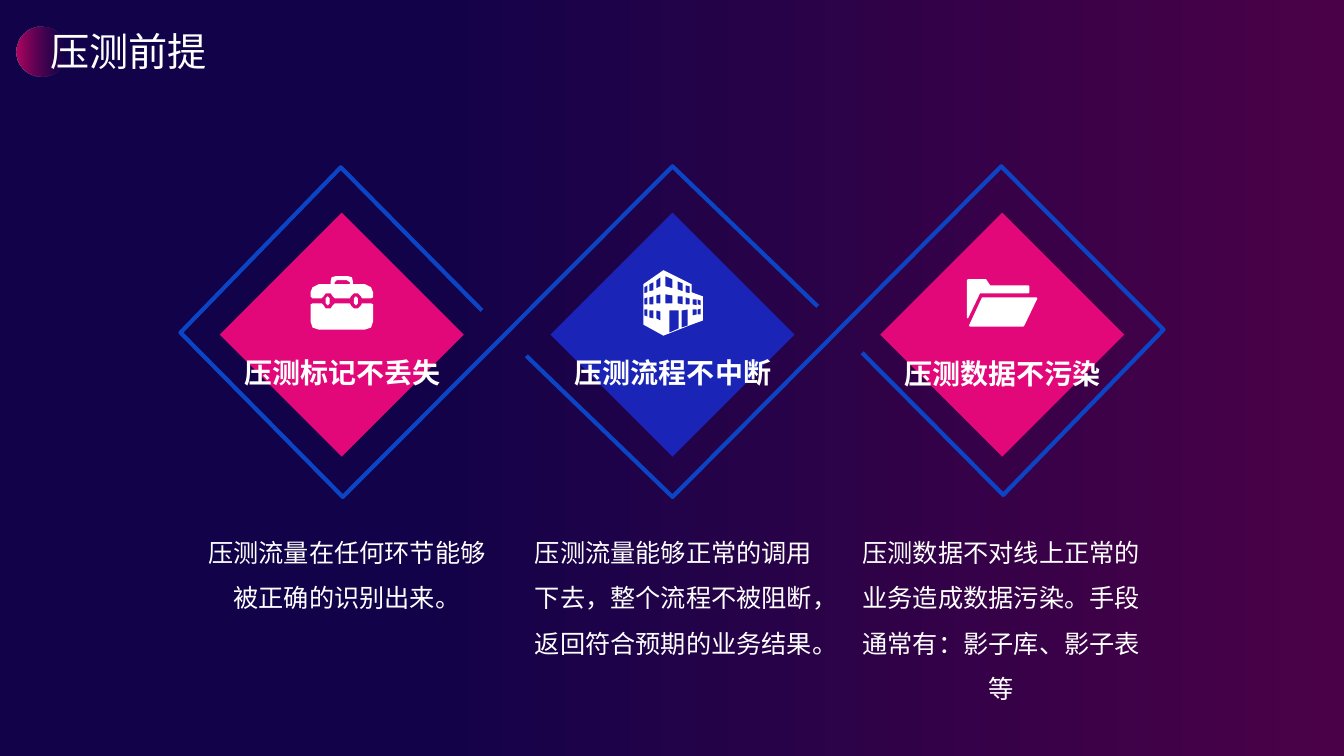
import lxml.etree
import pptx
import pptx.dml.color
import pptx.enum.shapes
import pptx.enum.text
import pptx.oxml.ns
import pptx.util

Inches = pptx.util.Inches
RGBColor = pptx.dml.color.RGBColor
SHAPE = pptx.enum.shapes.MSO_SHAPE
ALIGN = pptx.enum.text.PP_ALIGN
qn = pptx.oxml.ns.qn

NAVY = RGBColor(0x12, 0x02, 0x49)
PLUM = RGBColor(0x4B, 0x01, 0x47)
CRIMSON = RGBColor(0xB3, 0x06, 0x60)
PURPLE = RGBColor(0x57, 0x01, 0x52)
PINK = RGBColor(0xE2, 0x08, 0x7A)
INDIGO = RGBColor(0x1A, 0x25, 0xB8)
BLUE = RGBColor(0x0B, 0x45, 0xC5)
WHITE = RGBColor(0xFF, 0xFF, 0xFF)

TITLE = {"size": pptx.util.Pt(28), "name": "Noto Sans CJK SC"}
LABEL = {"size": pptx.util.Pt(20), "name": "Lato", "bold": True}
BODY = {"size": pptx.util.Pt(18), "name": "Noto Sans CJK SC"}

ZIGZAGS = [
    [(8.55, 3.5), (9.95, 4.91), (11.54, 3.27), (9.93, 1.65), (6.67, 4.93), (5.22, 3.53)],
    [(4.78, 3.08), (3.38, 1.66), (1.79, 3.3), (3.4, 4.93), (6.67, 1.65), (8.11, 3.04)],
]

BRIEFCASE = [
    [(3.16, 2.82), (3.28, 2.82), (3.28, 2.79), (3.29, 2.75), (3.33, 2.74), (3.45, 2.74),
     (3.49, 2.75), (3.5, 2.79), (3.5, 2.82), (3.62, 2.82), (3.68, 2.85), (3.7, 2.9),
     (3.7, 2.95), (3.68, 2.96), (3.59, 2.96), (3.58, 2.94), (3.55, 2.91), (3.51, 2.91),
     (3.48, 2.94), (3.47, 2.96), (3.32, 2.96), (3.3, 2.94), (3.28, 2.91), (3.23, 2.91),
     (3.21, 2.94), (3.19, 2.96), (3.1, 2.96), (3.08, 2.94), (3.08, 2.9), (3.1, 2.85)],
    [(3.32, 2.82), (3.32, 2.8), (3.34, 2.78), (3.44, 2.78), (3.47, 2.8), (3.47, 2.82)],
    [(3.1, 3.01), (3.19, 3.01), (3.21, 3.03), (3.23, 3.06), (3.28, 3.06), (3.3, 3.03),
     (3.32, 3.01), (3.47, 3.01), (3.48, 3.03), (3.51, 3.06), (3.55, 3.06), (3.58, 3.03),
     (3.59, 3.01), (3.68, 3.01), (3.7, 3.02), (3.7, 3.19), (3.68, 3.25), (3.62, 3.27),
     (3.16, 3.27), (3.1, 3.25), (3.08, 3.19), (3.08, 3.02)],
] + [
    [(x, 2.96), (x + 0.02, 2.94), (x + 0.04, 2.96), (x + 0.04, 3.01), (x + 0.02, 3.03),
     (x, 3.01)] for x in (3.23, 3.51)
]

FACADE = [(6.58, 2.68), (6.86, 2.82), (6.86, 2.9), (6.97, 2.94), (6.97, 3.18),
          (6.86, 3.22), (6.58, 3.33), (6.38, 3.22), (6.38, 2.82)]
OPENINGS = [
    (6.39, 6.42, [(2.85, 2.91, 2.83, 2.9), (2.96, 3.02, 2.95, 3.02), (3.07, 3.13, 3.07, 3.14)]),
    (6.44, 6.48, [(2.82, 2.89, 2.8, 2.88), (2.95, 3.02, 2.94, 3.02), (3.08, 3.15, 3.08, 3.16)]),
    (6.51, 6.55, [(2.78, 2.86, 2.75, 2.84), (2.93, 3.01, 2.92, 3.01), (3.08, 3.16, 3.09, 3.18)]),
    (6.6, 6.67, [(2.74, 2.84, 2.77, 2.86), (2.92, 3.01, 2.93, 3.01)]),
    (6.72, 6.77, [(2.79, 2.87, 2.81, 2.89), (2.94, 3.01, 2.94, 3.02)]),
    (6.8, 6.84, [(2.83, 2.9, 2.84, 2.91), (2.95, 3.02, 2.96, 3.02)]),
    (6.87, 6.91, [(2.97, 3.02, 2.97, 3.03), (3.07, 3.13, 3.07, 3.12)]),
    (6.92, 6.95, [(2.97, 3.02, 2.98, 3.03), (3.07, 3.12, 3.06, 3.12)]),
    (6.64, 6.73, [(3.08, 3.3, 3.08, 3.26)]),
    (6.76, 6.82, [(3.08, 3.25, 3.07, 3.23)]),
]
BUILDING = [FACADE] + [
    [(left, a), (right, c), (right, d), (left, b)]
    for left, right, floors in OPENINGS for a, b, c, d in floors
]

FOLDER_FRONT = [(9.74, 2.95), (10.28, 2.95), (10.29, 2.96), (10.16, 3.23), (10.15, 3.24),
                (9.62, 3.24), (9.61, 3.23)]
FOLDER_BACK = [(9.6, 2.77), (9.78, 2.77), (9.82, 2.83), (10.2, 2.83), (10.21, 2.84),
               (10.21, 2.9), (10.2, 2.91), (9.72, 2.91), (9.6, 3.16), (9.59, 3.15),
               (9.59, 2.78)]

PREMISES = [
    (2.18, PINK, "压测标记不丢失", 3.48, [BRIEFCASE],
     1.95, 0.96, "压测流量在任何环节能够被正确的识别出来。"),
    (5.46, INDIGO, "压测流程不中断", 3.48, [BUILDING],
     5.19, 1.41, "压测流量能够正常的调用下去，整个流程不被阻断，返回符合预期的业务结果。"),
    (8.73, PINK, "压测数据不污染", 3.49, [[FOLDER_FRONT], [FOLDER_BACK]],
     8.44, 1.87, "压测数据不对线上正常的业务造成数据污染。手段通常有：影子库、影子表等"),
]


def set_gradient(fill, stops):
    """Give a fill a left-to-right gradient of two stops."""
    fill.gradient()
    fill.gradient_angle = 0
    for stop, (position, color) in zip(fill.gradient_stops, stops):
        stop.position = position
        stop.color.rgb = color


def add_preset(page, kind, left, top, size):
    """Add a square preset shape without line or shadow."""
    shape = page.shapes.add_shape(kind, *map(Inches, (left, top, size, size)))
    shape.shadow.inherit = False
    shape.line.fill.background()
    return shape


def add_outline(page, contours, close):
    """Add a freeform made of one or more contours in inches."""
    builder = None
    for contour in contours:
        points = [(Inches(x), Inches(y)) for x, y in contour]
        if builder is None:
            builder = page.shapes.build_freeform(*points[0])
        else:
            builder.move_to(*points[0])
        builder.add_line_segments(points[1:], close=close)
    shape = builder.convert_to_shape()
    shape.shadow.inherit = False
    return shape


def add_icon(page, contours):
    """Add a solid white icon."""
    icon = add_outline(page, contours, True)
    icon.fill.solid()
    icon.fill.fore_color.rgb = WHITE
    icon.line.fill.background()


def add_zigzag(page, points):
    """Add an open blue line that frames the diamonds."""
    zigzag = add_outline(page, [points], False)
    zigzag.fill.background()
    zigzag.line.color.rgb = BLUE
    zigzag.line.width = pptx.util.Pt(3)


def add_text(page, place, text, font, align=ALIGN.CENTER, wrap=True, spacing=1.0):
    """Add a white text box with one paragraph."""
    box = page.shapes.add_textbox(*map(Inches, place))
    box.text_frame.word_wrap = wrap
    para = box.text_frame.paragraphs[0]
    para.alignment = align
    para.line_spacing = spacing
    span = para.add_run()
    span.text = text
    span.font.color.rgb = WHITE
    for name, value in font.items():
        setattr(span.font, name, value)
    east_asian = lxml.etree.SubElement(span.font._element, qn("a:ea"))
    east_asian.set("typeface", font["name"])


def add_title(page):
    """Add the heading and the fading disc behind it."""
    disc = add_preset(page, SHAPE.OVAL, 0.16, 0.26, 0.5)
    set_gradient(disc.fill, [(0, CRIMSON), (1, PURPLE)])
    last_color = disc._element.spPr.findall(".//" + qn("a:srgbClr"))[-1]
    lxml.etree.SubElement(last_color, qn("a:alpha")).set("val", "0")
    add_text(page, (0.4, 0.22, 3.05, 1.05), "压测前提", TITLE, ALIGN.LEFT)


def add_premise(page, left, color, label, label_top, icons, body_left, body_height, body):
    """Add one diamond with its icon, label and explanation."""
    diamond = add_preset(page, SHAPE.DIAMOND, left, 2.11, 2.42)
    diamond.fill.solid()
    diamond.fill.fore_color.rgb = color
    for contours in icons:
        add_icon(page, contours)
    add_text(page, (left + 0.13, label_top, 2.17, 0.44), label, LABEL, wrap=False)
    add_text(page, (body_left, 5.13, 2.98, body_height), body, BODY, spacing=1.5)


def main():
    """Build and save the deck."""
    deck = pptx.Presentation()
    deck.slide_width, deck.slide_height = Inches(13.33), Inches(7.5)
    page = deck.slides.add_slide(deck.slide_layouts[6])
    set_gradient(page.background.fill, [(0.3, NAVY), (1, PLUM)])
    add_title(page)
    for points in ZIGZAGS:
        add_zigzag(page, points)
    for premise in PREMISES:
        add_premise(page, *premise)
    deck.save("out.pptx")


if __name__ == "__main__":
    main()
